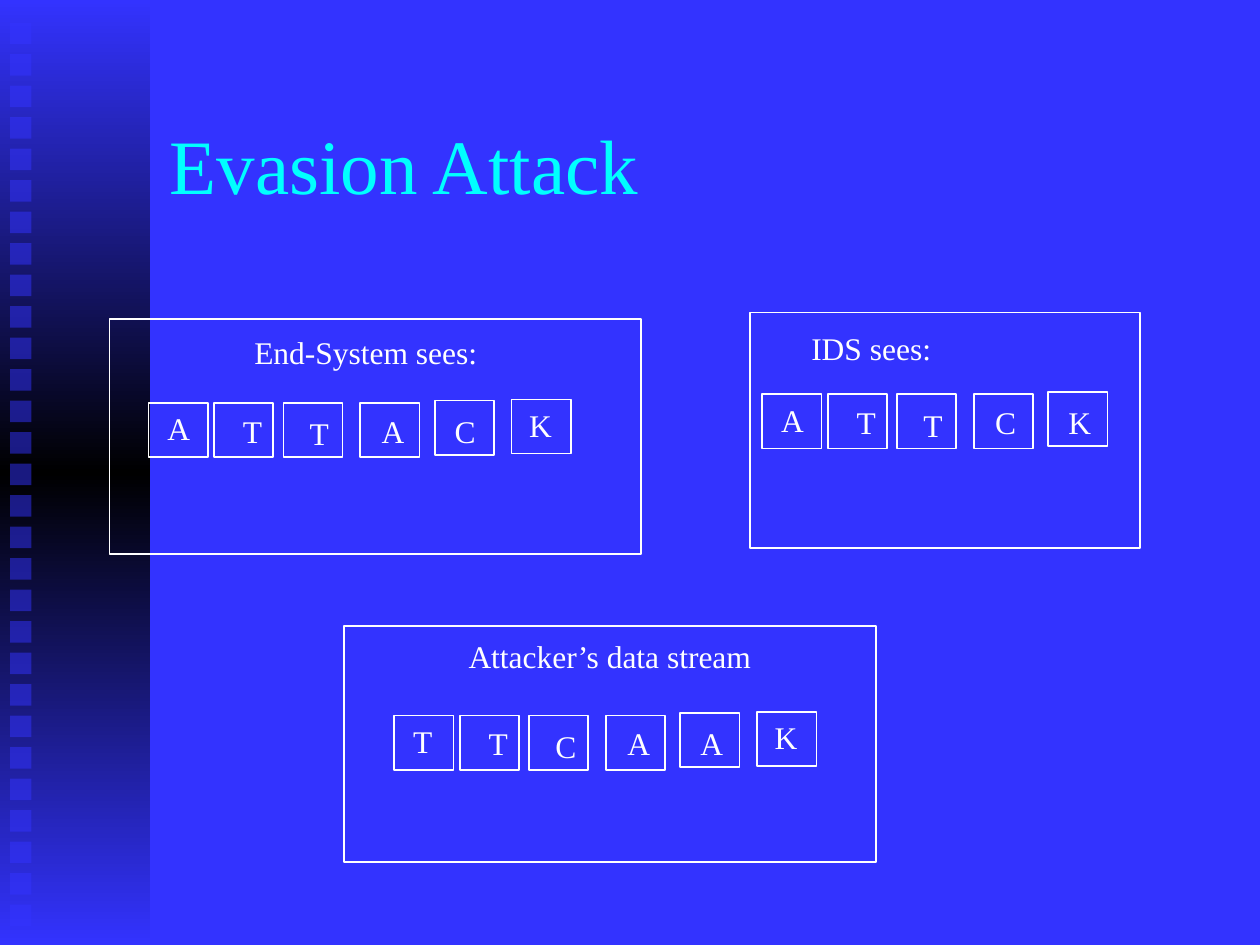
"""Build the Evasion Attack slide with three framed packet sequences."""
import copy
from dataclasses import dataclass

import lxml.etree
import pptx
import pptx.dml.color
import pptx.enum.shapes
import pptx.enum.text
import pptx.oxml.ns
import pptx.util

Inches = pptx.util.Inches
BLUE = "3333FF"
BLACK = "000000"
WHITE = "FFFFFF"
CYAN = "00FFFF"
FONT_NAME = "Times New Roman"


@dataclass(frozen=True)
class Slot:
    box_x: float
    box_y: float
    letter_x: float
    letter_y: float


@dataclass(frozen=True)
class Panel:
    title: str
    frame: tuple[float, float, float, float]
    title_area: tuple[float, float, float, float]
    packets: str
    packet_origin: tuple[float, float]


SLOTS = [
    Slot(0, 0, 0.05, 0),
    Slot(0.52, 0, 0.65, 0.02),
    Slot(1.07, 0, 1.18, 0.04),
    Slot(1.68, 0, 1.75, 0.02),
    Slot(2.27, -0.02, 2.33, 0.02),
    Slot(2.88, -0.03, 2.92, -0.03),
]

PANELS = [
    Panel("End-System sees:", (0.87, 2.53, 4.22, 1.87), (1.92, 2.59, 1.97, 0.4),
          "ATTACK", (1.18, 3.2)),
    Panel("Attacker’s data stream", (2.73, 4.97, 4.22, 1.87), (3.62, 5.01, 2.45, 0.4),
          "TTCAAK", (3.13, 5.68)),
    Panel("IDS sees:", (5.95, 2.48, 3.1, 1.87), (6.34, 2.56, 1.15, 0.4),
          "ATTCK", (6.05, 3.13)),
]


def color(value: str) -> pptx.dml.color.RGBColor:
    return pptx.dml.color.RGBColor.from_string(value)


def add_rectangle(slide, left: float, top: float, width: float, height: float):
    shape = slide.shapes.add_shape(
        pptx.enum.shapes.MSO_SHAPE.RECTANGLE,
        Inches(left), Inches(top), Inches(width), Inches(height))
    shape.shadow.inherit = False
    shape.fill.background()
    shape.line.fill.background()
    return shape


def add_outline(slide, left: float, top: float, width: float, height: float) -> None:
    shape = add_rectangle(slide, left, top, width, height)
    shape.line.color.rgb = color(WHITE)
    shape.line.width = pptx.util.Pt(1)


def add_text(slide, text: str, area: tuple[float, float, float, float], *,
             size: float = 18, font_color: str = WHITE, wrap: bool = True,
             anchor=pptx.enum.text.MSO_ANCHOR.TOP,
             auto_size=pptx.enum.text.MSO_AUTO_SIZE.SHAPE_TO_FIT_TEXT) -> None:
    text_box = slide.shapes.add_textbox(*(Inches(length) for length in area))
    frame = text_box.text_frame
    frame.word_wrap = wrap
    frame.auto_size = auto_size
    frame.vertical_anchor = anchor
    paragraph = frame.paragraphs[0]
    paragraph.text = text
    paragraph.font.name = FONT_NAME
    paragraph.font.size = pptx.util.Pt(size)
    paragraph.font.color.rgb = color(font_color)


def add_sidebar(slide) -> None:
    qualified = pptx.oxml.ns.qn
    band = add_rectangle(slide, 0, 0, 1.19, 7.5)
    band.fill.gradient()
    band.fill.gradient_angle = 270
    first_stop, last_stop = band.fill.gradient_stops
    first_stop.color.rgb = color(BLUE)
    last_stop.color.rgb = color(BLUE)
    stop_list = next(band.element.iter(qualified("a:gsLst")))
    middle_stop = copy.deepcopy(stop_list[0])
    middle_stop.set("pos", "50000")
    middle_stop[0].set("val", BLACK)
    stop_list.insert(1, middle_stop)

    for index in range(29):
        square = add_rectangle(slide, 0.08, 0.18 + 0.25 * index, 0.17, 0.17)
        square.fill.solid()
        square.fill.fore_color.rgb = color(BLUE)
        fill_color = next(square.element.iter(qualified("a:srgbClr")))
        lxml.etree.SubElement(fill_color, qualified("a:alpha"), val="50000")


def add_panel(slide, panel: Panel) -> None:
    add_outline(slide, *panel.frame)
    add_text(slide, panel.title, panel.title_area, wrap=False)
    left, top = panel.packet_origin
    for letter, slot in zip(panel.packets, SLOTS):
        add_text(slide, letter, (left + slot.letter_x, top + slot.letter_y, 0.35, 0.4))
        add_outline(slide, left + slot.box_x, top + slot.box_y, 0.47, 0.43)


def main() -> None:
    presentation = pptx.Presentation()
    presentation.slide_width = Inches(10)
    presentation.slide_height = Inches(7.5)
    slide = presentation.slides.add_slide(presentation.slide_layouts[6])
    slide.background.fill.solid()
    slide.background.fill.fore_color.rgb = color(BLUE)
    add_sidebar(slide)
    add_text(slide, "Evasion Attack", (1.25, 0.67, 8.5, 1.25), size=44, font_color=CYAN,
             anchor=pptx.enum.text.MSO_ANCHOR.MIDDLE,
             auto_size=pptx.enum.text.MSO_AUTO_SIZE.NONE)
    for panel in PANELS:
        add_panel(slide, panel)
    presentation.save("out.pptx")


if __name__ == "__main__":
    main()
